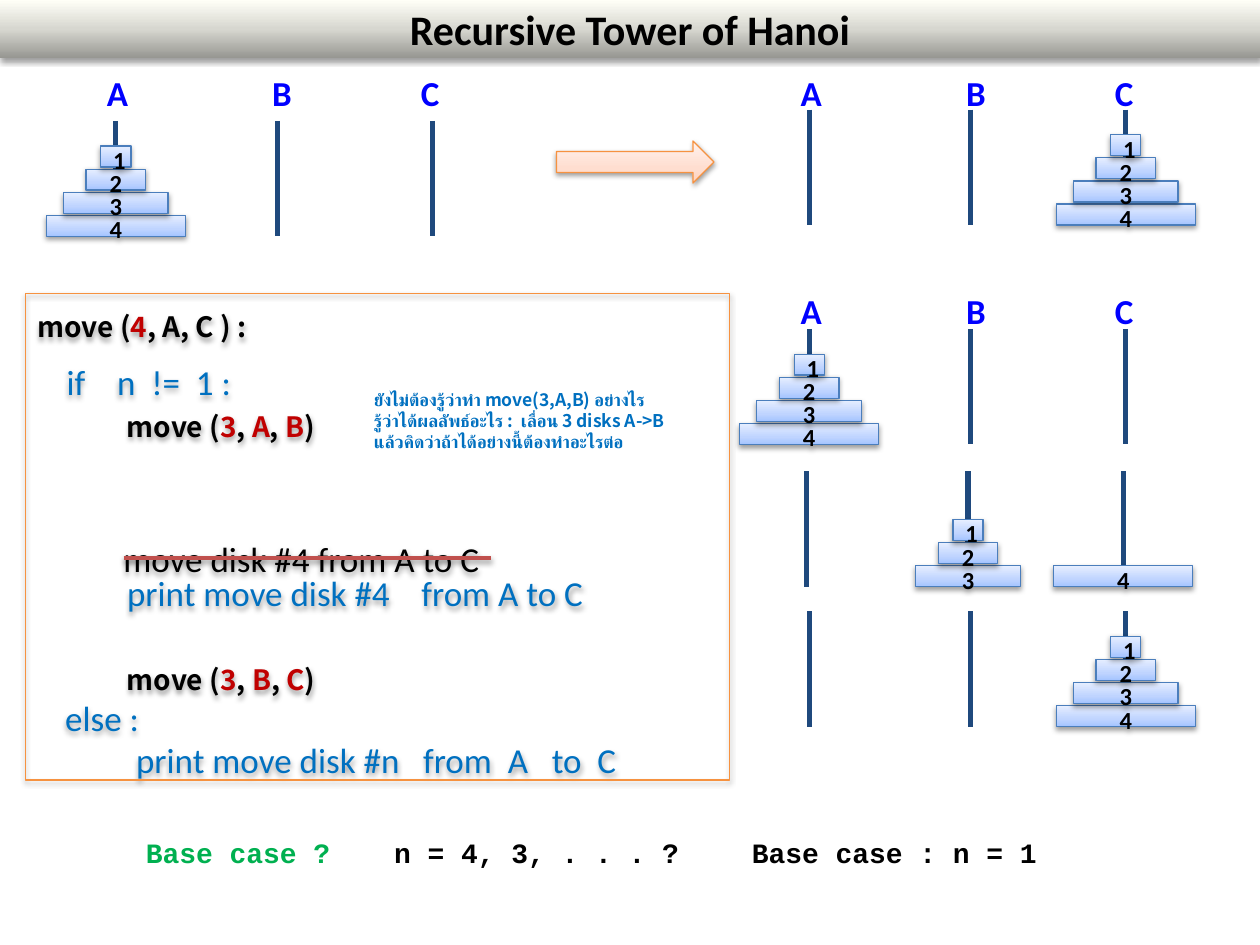
from dataclasses import dataclass

from lxml import etree
from pptx import Presentation
from pptx.dml.color import RGBColor
from pptx.enum import shapes, text
from pptx.oxml import parse_xml
from pptx.oxml.ns import nsdecls, qn
from pptx.util import Pt


@dataclass(frozen=True)
class Theme:
    body: str = "Calibri"
    call: str = "Noto Sans CJK JP"
    mono: str = "Courier New"
    black: str = "000000"
    blue: str = "0070C0"
    label: str = "0000FF"
    red: str = "C00000"
    green: str = "00B050"
    peg: str = "1F497D"
    disk_line: str = "4B7EBC"
    orange: str = "F69240"
    strike: str = "C0504D"
    title_size: int = 24
    code_size: int = 20
    call_size: int = 16
    disk_size: int = 14
    note_size: int = 10
    title_fill: tuple = ((0, "979792"), (50, "D7D7D0"), (100, "FFFFF7"))
    disk_fill: tuple = ((0, "A4C4FF"), (35, "BFD4FF"), (100, "E6EEFF"))
    arrow_fill: tuple = ((0, "FFD2BD"), (35, "FFDED0"), (100, "FFF2ED"))


THEME = Theme()

TITLE = "Recursive Tower of Hanoi"
PEG_NAMES = "A\tB\tC"
LABEL_TABS = (94.5, 179.5)
LABELS = [(54, 37.4), (450.5, 37.4), (450.5, 162)]

# left peg x, peg top, disks on each peg from the bottom up
ALL_DISKS = [4, 3, 2, 1]
TOWERS = [
    (66.2, 69.1, (ALL_DISKS, [], [])),
    (462.4, 62.6, ([], [], ALL_DISKS)),
    (462.4, 188, (ALL_DISKS, [], [])),
    (461, 269.3, ([], [3, 2, 1], [4])),
    (462.4, 349.2, ([], [], ALL_DISKS)),
]
PEG_OFFSETS = (0, 92.2, 180.9)
PEG_HEIGHT = 66
DISK_WIDTHS = {1: 17.2, 2: 34, 3: 59.8, 4: 79.4}
DISK_HEIGHT, DISK_STEP = 12, 13.2

# bars separate black pieces from red ones
CALLS = [
    ((14.4, 173.5, 164, 26.6), "move (|4|, A, C ) :"),
    ((65.5, 230.4, 153, 26.6), "move (|3|, |A|,| B|)"),
    ((65.5, 375.1, 153, 26.6), "move (|3|, |B|,| C|)"),
]
STEPS = [
    ((63.4, 303.8, 234, 31.5), ["move disk #4 from A to C"], THEME.black),
    ((31, 202.3, 234, 31.5), ["if    n  !=  1 :"], THEME.blue),
    ((30.2, 394.6, 341, 55.5),
     ["else :", "print move disk #n   from  A   to  C"], THEME.blue),
    ((65.5, 323.3, 284, 31.5), ["print move disk #4    from A to C"], THEME.blue),
]
BODY_INDENT = 40.5
BASE_CASE = [
    ((76.3, 473.8, 142, 26.6), "Base case ?", THEME.green),
    ((218.2, 473.8, 227, 26.6), "n = 4, 3, . . . ?", THEME.black),
    ((422.6, 473.8, 180, 26.6), "Base case : n = 1", THEME.black),
]
NOTE = [
    "ยังไม่ต้องรู้ว่าทำ move(3,A,B) อย่างไร",
    "รู้ว่าได้ผลลัพธ์อะไร :  เลื่อน 3 disks A->B",
    "แล้วคิดว่าถ้าได้อย่างนี้ต้องทำอะไรต่อ",
]


def points(*values):
    return [Pt(value) for value in values]


def style(span, font, size, color, bold=True):
    span.font.name, span.font.size, span.font.bold = font, Pt(size), bold
    span.font.color.rgb = RGBColor.from_string(color)
    for tag in ("a:ea", "a:cs"):
        etree.SubElement(span._r.get_or_add_rPr(), qn(tag), typeface=font)


def add_shadow(shape):
    shape._element.spPr.append(parse_xml(
        f'<a:effectLst {nsdecls("a")}><a:outerShdw blurRad="{Pt(3.1)}" '
        f'dist="{Pt(1.6)}" dir="5400000" rotWithShape="0"><a:srgbClr val="000000">'
        '<a:alpha val="38000"/></a:srgbClr></a:outerShdw></a:effectLst>'))


def fill_upward(shape, stops):
    """Gradient whose first stop lies at the bottom edge."""
    marks = "".join(f'<a:gs pos="{place * 1000}"><a:srgbClr val="{color}"/></a:gs>'
                    for place, color in stops)
    shape._element.spPr.append(parse_xml(
        f'<a:gradFill {nsdecls("a")} rotWithShape="1"><a:gsLst>{marks}</a:gsLst>'
        '<a:lin ang="16200000" scaled="0"/></a:gradFill>'))


def add_block(page, kind, frame, line, stops=None):
    block = page.shapes.add_shape(kind, *points(*frame))
    if stops:
        fill_upward(block, stops)
    else:
        block.fill.background()
    block.line.color.rgb = RGBColor.from_string(line)
    block.line.width = Pt(0.75)
    add_shadow(block)
    return block


def add_line(page, ends, color, width):
    line = page.shapes.add_connector(shapes.MSO_CONNECTOR.STRAIGHT, *points(*ends))
    line.line.color.rgb = RGBColor.from_string(color)
    line.line.width = Pt(width)
    return line


def add_text(page, frame, lines, font, size, color, bold=True, wrap=True):
    """Text box; pieces between bars take turns in the given colour and red."""
    box = page.shapes.add_textbox(*points(*frame))
    box.text_frame.word_wrap = wrap
    box.text_frame.auto_size = text.MSO_AUTO_SIZE.SHAPE_TO_FIT_TEXT
    for row, content in enumerate(lines):
        para = box.text_frame.paragraphs[0] if row == 0 else box.text_frame.add_paragraph()
        for turn, piece in enumerate(content.split("|")):
            span = para.add_run()
            span.text = piece
            style(span, font, size, THEME.red if turn % 2 else color, bold)
    return box


def add_title(page):
    title = page.shapes.title
    title.left, title.top, title.width, title.height = points(0, 0, 720, 33.1)
    fill_upward(title, THEME.title_fill)
    add_shadow(title)
    title.text_frame.text = TITLE
    title.text_frame.vertical_anchor = text.MSO_ANCHOR.MIDDLE
    para = title.text_frame.paragraphs[0]
    para.alignment = text.PP_ALIGN.CENTER
    style(para.runs[0], THEME.body, THEME.title_size, THEME.black)


def add_disk(page, number, center, top):
    width = DISK_WIDTHS[number]
    disk = add_block(page, shapes.MSO_SHAPE.RECTANGLE,
                     (center - width / 2, top, width, DISK_HEIGHT),
                     THEME.disk_line, THEME.disk_fill)
    frame = disk.text_frame
    frame.text = str(number)
    frame.margin_top, frame.margin_bottom = points(3.6, 0)
    frame.vertical_anchor = text.MSO_ANCHOR.MIDDLE
    frame.paragraphs[0].alignment = text.PP_ALIGN.CENTER
    style(frame.paragraphs[0].runs[0], THEME.body, THEME.disk_size, THEME.black)


def add_tower(page, left, top, pegs):
    for offset, disks in zip(PEG_OFFSETS, pegs):
        x = left + offset
        peg = add_line(page, (x, top, x, top + PEG_HEIGHT), THEME.peg, 3)
        etree.SubElement(peg._element.spPr, qn("a:effectLst"))
        for level, number in enumerate(disks):
            add_disk(page, number, x, top + PEG_HEIGHT - DISK_HEIGHT - level * DISK_STEP)


def add_peg_names(page, left, top):
    box = add_text(page, (left, top, 228.2, 31), [PEG_NAMES],
                   THEME.body, THEME.code_size, THEME.label)
    tabs = etree.SubElement(box.text_frame.paragraphs[0]._p.get_or_add_pPr(), qn("a:tabLst"))
    for stop in LABEL_TABS:
        etree.SubElement(tabs, qn("a:tab"), pos=str(Pt(stop)), algn="l")


def main():
    deck = Presentation()
    deck.slide_width, deck.slide_height = points(720, 540)
    page = deck.slides.add_slide(deck.slide_layouts[5])
    add_title(page)
    for place in LABELS:
        add_peg_names(page, *place)
    for tower in TOWERS:
        add_tower(page, *tower)
    add_block(page, shapes.MSO_SHAPE.RIGHT_ARROW, (318, 80.6, 90, 24),
              THEME.orange, THEME.arrow_fill)
    for frame, call in CALLS:
        add_shadow(add_text(page, frame, [call], THEME.call, THEME.call_size, THEME.black))
    for frame, lines, color in STEPS:
        box = add_text(page, frame, lines, THEME.body, THEME.code_size, color, bold=False)
        add_shadow(box)
        for para in box.text_frame.paragraphs[1:]:
            para._p.get_or_add_pPr().set("marL", str(Pt(BODY_INDENT)))
    add_shadow(add_line(page, (70.6, 319, 280.8, 319), THEME.strike, 2))
    for frame, words, color in BASE_CASE:
        add_text(page, frame, [words], THEME.mono, THEME.call_size, color)
    add_block(page, shapes.MSO_SHAPE.RECTANGLE, (14.4, 167.8, 402.5, 278), THEME.orange)
    add_text(page, (206.6, 218.9, 203, 58.3), NOTE, THEME.call, THEME.note_size,
             THEME.blue, wrap=False)
    deck.save("out.pptx")


if __name__ == "__main__":
    main()
